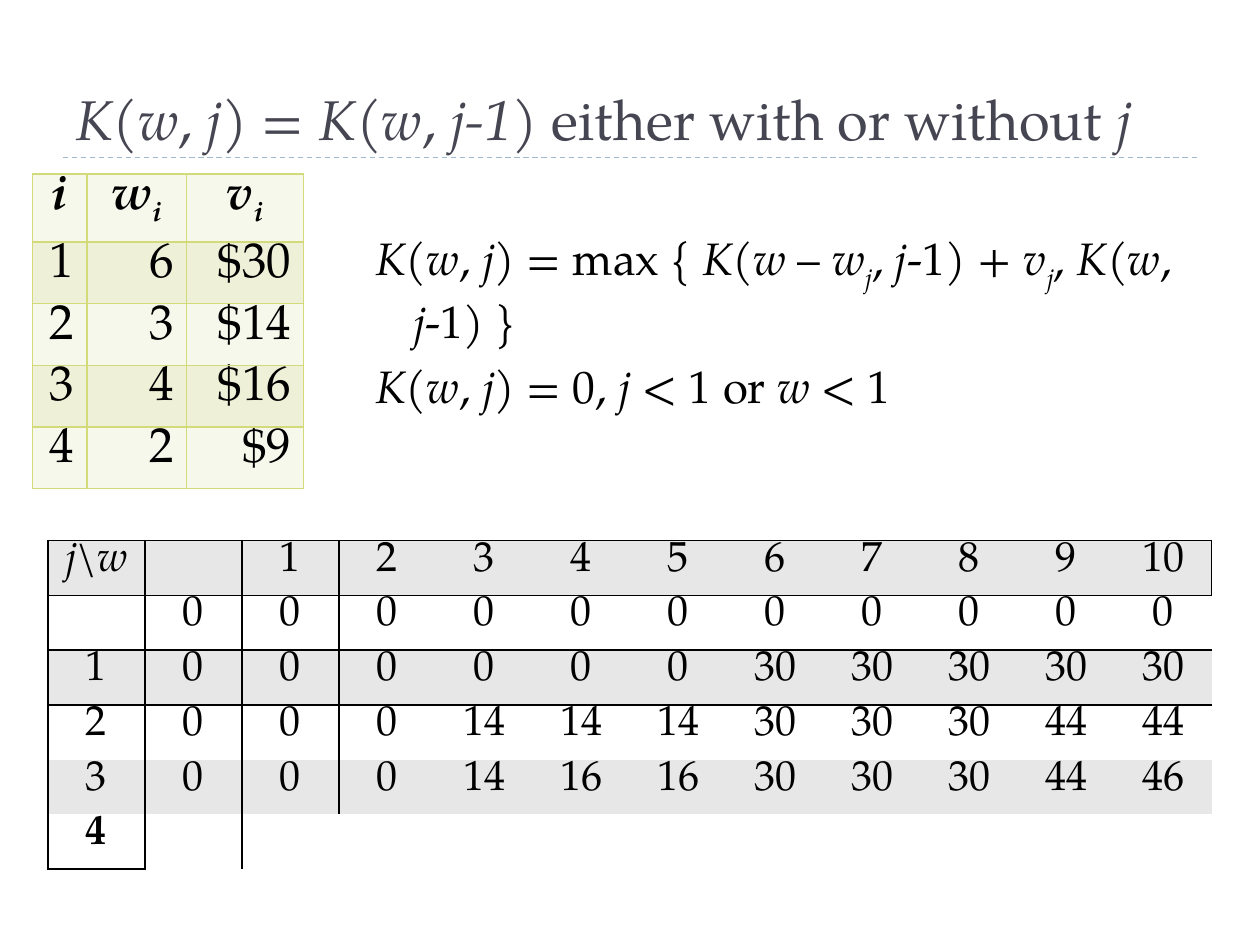
from pptx import Presentation
from pptx.dml.color import RGBColor
from pptx.enum import dml, shapes, text
from pptx.oxml import ns, xmlchemy
from pptx.util import Inches, Pt

FONT = "TeX Gyre Pagella"
BLACK, GREY, WHITE = "000000", "E7E7E7", "FFFFFF"
LIME, PALE, TINT = "D2DA7A", "F7F8EC", "EEF1D7"
PLAIN = "{2D5ABB26-0587-4C30-8999-92F81FD0307C}"  # table style without grid
ALIGN = text.PP_ALIGN


def color(code):
    return RGBColor.from_string(code)


def write(para, words, size, shade=BLACK, bold=False):
    """Stars enclose italics; an underscore starts a subscript."""
    for n, part in enumerate(words.split("*")):
        for k, bit in enumerate(part.split("_")):
            if not bit:
                continue
            run = para.add_run()
            run.text = bit
            font = run.font
            font.name, font.size, font.bold = FONT, Pt(size), bold
            font.italic = n % 2 == 1
            font.color.rgb = color(shade)
            if k:
                font._element.set("baseline", "-25000")


def text_box(slide, box):
    frame = slide.shapes.add_textbox(*map(Inches, box)).text_frame
    frame.word_wrap = True
    return frame


def add_child(node, tag, **attrs):
    child = xmlchemy.OxmlElement(tag)
    for key, value in attrs.items():
        child.set(key, value)
    node.append(child)
    return child


def border(cell, sides, shade):
    """Sides is a subset of LRTB, in that order."""
    props = cell._tc.get_or_add_tcPr()
    for side in sides:
        line = add_child(props, "a:ln" + side, w=str(Pt(1)))
        fill = add_child(line, "a:solidFill")
        add_child(fill, "a:srgbClr", val=shade)


def grid(slide, box, rows, widths, heights):
    frame = slide.shapes.add_table(len(rows), len(widths), *map(Inches, box))
    table = frame.table
    table.first_row = table.horz_banding = False
    table._tbl.tblPr.find(ns.qn("a:tableStyleId")).text = PLAIN
    for col, width in zip(table.columns, widths):
        col.width = Inches(width)
    for row, height in zip(table.rows, heights):
        row.height = Inches(height)
    return table


def fill_cell(cell, words, size, align, back, sides, shade, bold=False):
    cell.margin_top = cell.margin_bottom = 0
    border(cell, sides, shade)
    cell.fill.solid()
    cell.fill.fore_color.rgb = color(back)
    para = cell.text_frame.paragraphs[0]
    para.alignment = align
    write(para, words, size, bold=bold)


def title(slide, box):
    left, top, width, height = box
    # Dashed rule under the title
    base = Inches(top + height)
    rule = slide.shapes.add_connector(
        shapes.MSO_CONNECTOR.STRAIGHT,
        Inches(left), base, Inches(left + width), base)
    rule.line.color.rgb = color("9FB8CD")
    rule.line.width = Pt(0.75)
    rule.line.dash_style = dml.MSO_LINE.DASH
    add_child(rule._element.spPr, "a:effectLst")
    # Heading
    frame = text_box(slide, box)
    frame.vertical_anchor = text.MSO_ANCHOR.BOTTOM
    write(frame.paragraphs[0],
          "*K*(*w*, *j*) = *K*(*w*, *j-1*) either with or without *j*",
          32, "464653")


def formulas(slide, box):
    frame = text_box(slide, box)
    lines = [
        "*K*(*w*, *j*) = max { *K*(*w* – *w_j*, *j*-1) + *v_j*, "
        "*K*(*w*, *j*-1) }",
        "*K*(*w*, *j*) = 0, *j* < 1 or *w* < 1",
    ]
    for n, words in enumerate(lines):
        para = frame.add_paragraph() if n else frame.paragraphs[0]
        para.space_before = Pt(6)
        props = para._p.get_or_add_pPr()
        props.set("marL", str(Inches(0.3)))
        props.set("indent", str(Inches(-0.3)))
        write(para, words, 26)


def items(slide, box):
    rows = [("*i*", "*w_i*", "*v_i*"), ("1", "6", "$30"),
            ("2", "3", "$14"), ("3", "4", "$16"), ("4", "2", "$9")]
    table = grid(slide, box, rows, (0.43, 0.79, 0.93), [0.54] + [0.49] * 4)
    for r, row in enumerate(rows):
        for c, words in enumerate(row):
            fill_cell(table.cell(r, c), words, 28,
                      ALIGN.RIGHT if r else ALIGN.CENTER,
                      TINT if r % 2 else PALE, "LRTB", LIME, bold=r == 0)


def edges(r, c, last):
    """Black lines around the header row and the two label columns."""
    left = c == 0 or c == 1 or (c == 2 and r < 5)
    right = c == 0 or (c == 1 and r < 5) or (r == 0 and c == last)
    top = r < 3
    bottom = r < 2 or (r == 5 and c == 0)
    return "".join(s for s, on in zip("LRTB", (left, right, top, bottom)) if on)


def results(slide, box):
    rows = [
        ["*j*\\*w*", ""] + list(range(1, 11)),
        [""] + [0] * 11,
        [1] + [0] * 6 + [30] * 5,
        [2, 0, 0, 0, 14, 14, 14, 30, 30, 30, 44, 44],
        [3, 0, 0, 0, 14, 16, 16, 30, 30, 30, 44, 46],
        [4] + [""] * 11,
    ]
    cols = len(rows[0])
    table = grid(slide, box, rows, [box[2] / cols] * cols,
                 [box[3] / len(rows)] * len(rows))
    for r, row in enumerate(rows):
        for c, value in enumerate(row):
            fill_cell(table.cell(r, c), str(value), 24, ALIGN.CENTER,
                      WHITE if r % 2 else GREY, edges(r, c, cols - 1),
                      BLACK, bold=r == 5)


def main():
    deck = Presentation()
    deck.slide_width, deck.slide_height = Inches(10), Inches(7.5)
    slide = deck.slides.add_slide(deck.slide_layouts[6])
    title(slide, (0.5, 0.17, 9, 1.08))
    formulas(slide, (2.88, 1.78, 7.09, 1.4))
    items(slide, (0.26, 1.38, 2.15, 2.5))
    results(slide, (0.38, 4.29, 9.24, 2.61))
    deck.save("out.pptx")


if __name__ == "__main__":
    main()
